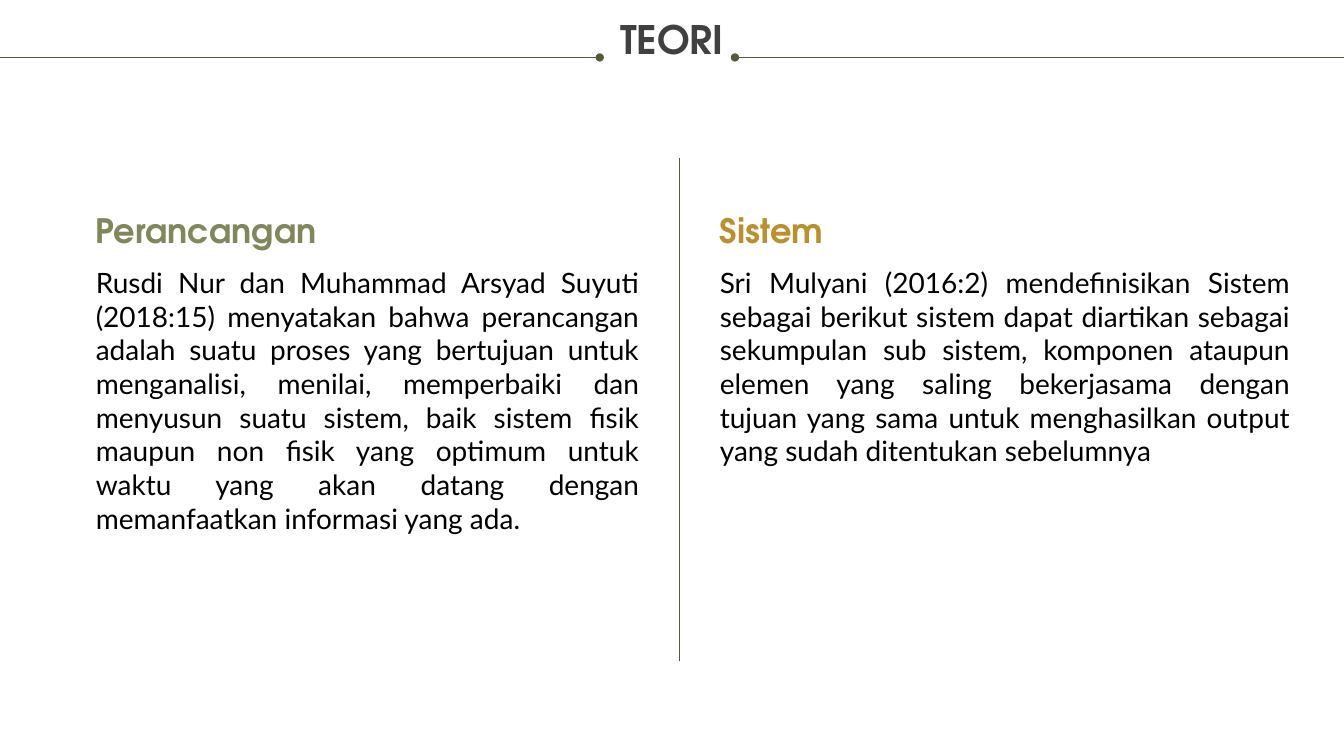
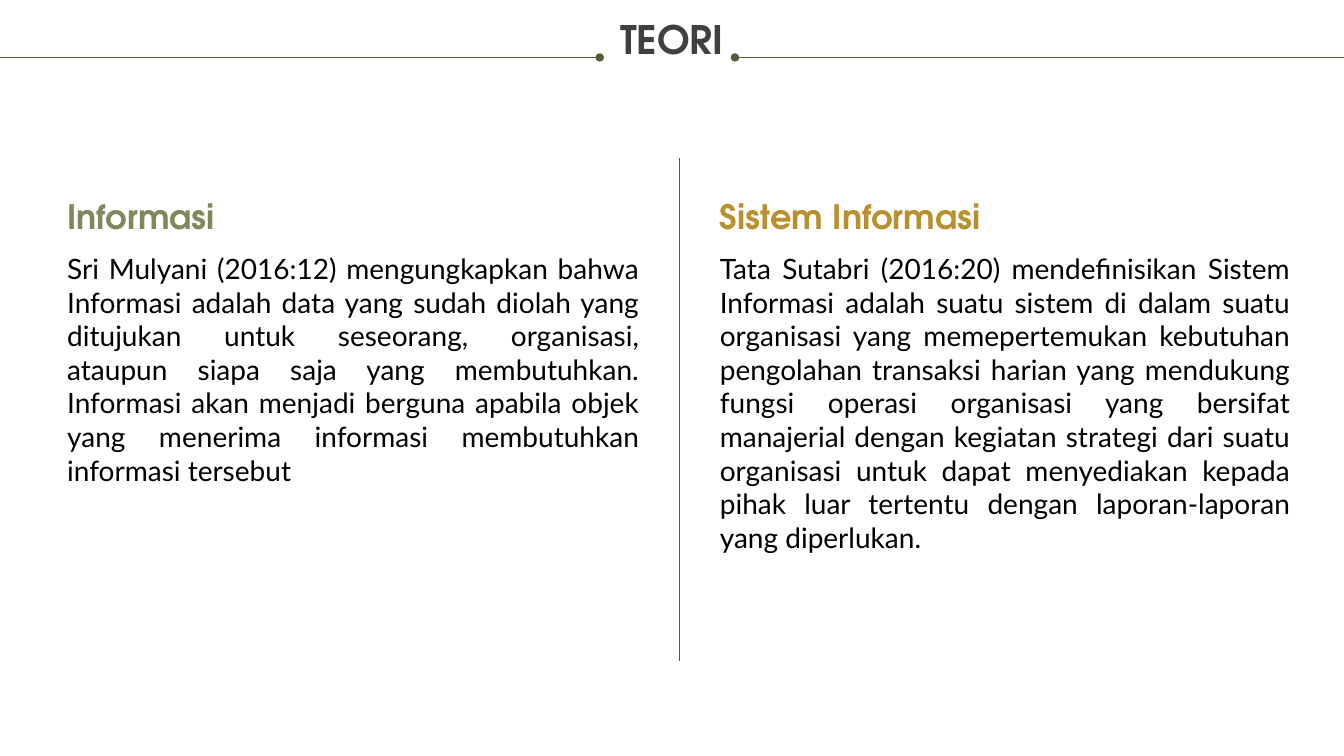
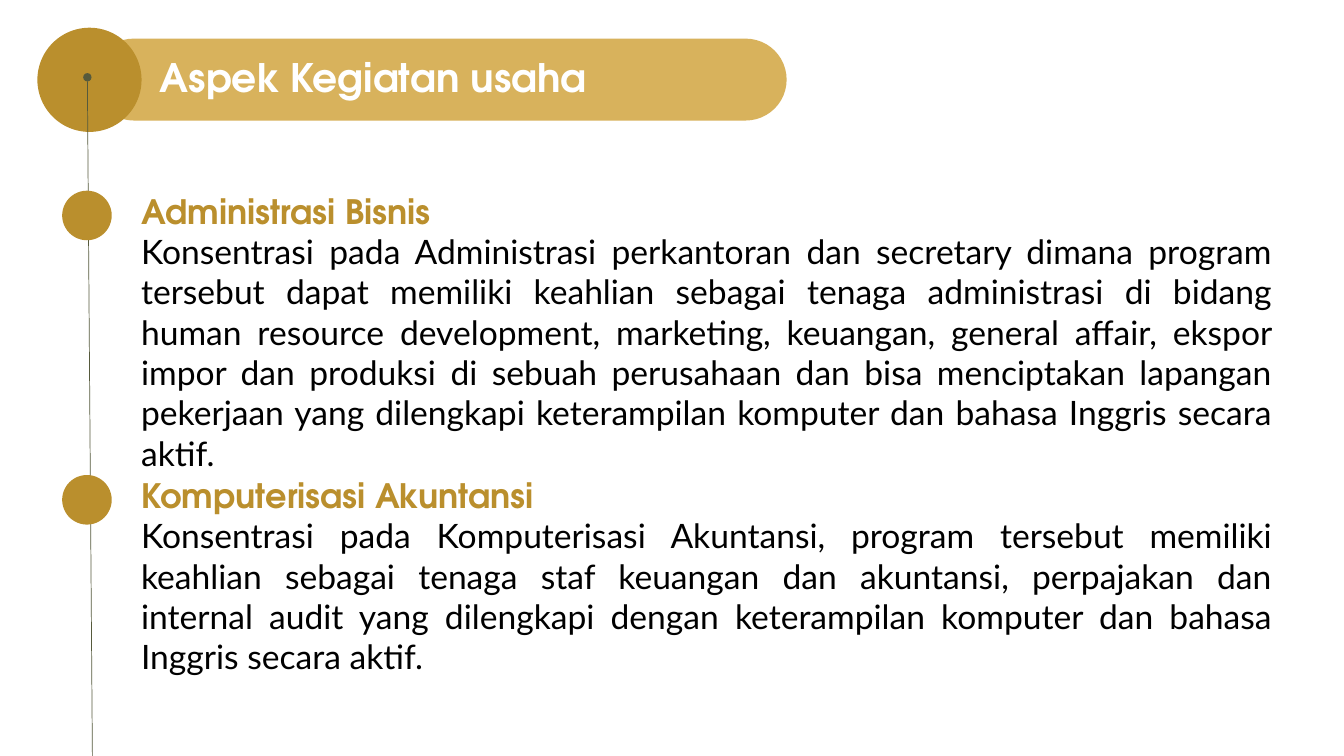
from dataclasses import dataclass

from lxml import etree
from pptx import Presentation
from pptx import util as u
from pptx.dml.color import RGBColor
from pptx.enum import shapes, text
from pptx.oxml.ns import qn

# The slide is a grid of square cells; every length below counts cells.
COLS, ROWS = 160, 90
CELL = u.Inches(7.5) / ROWS


@dataclass(frozen=True)
class Theme:
    olive: str = "81875A"
    gold: str = "BA8F2D"
    pale_gold: str = "D8B25C"
    rule: str = "565A3C"
    title: str = "404040"
    ink: str = "000000"
    white: str = "FFFFFF"
    display_font: str = "TeX Gyre Adventor"
    body_font: str = "Lato"
    title_size: int = 28
    head_size: int = 24
    body_size: int = 20
    rule_width: float = 0.5


@dataclass(frozen=True)
class Box:
    x: float
    y: float
    w: float
    h: float

    def inner(self, dx, dy, w, h):
        return Box(self.x + dx, self.y + dy, w, h)

    def emu(self):
        return [cells(v) for v in (self.x, self.y, self.w, self.h)]


T = Theme()
PAGE = Box(0, 0, COLS, ROWS)


def cells(n):
    return u.Emu(round(n * CELL))


# Text styles: font values and paragraph values
def style(size, name, color, bold=False, **paragraph):
    return {"font": {"size": u.Pt(size), "name": name, "bold": bold},
            "color": color, "paragraph": paragraph}


def title_style(color, **paragraph):
    return style(T.title_size, T.display_font, color, True, line_spacing=0.9, **paragraph)


def head_style(color, **paragraph):
    return style(T.head_size, T.display_font, color, True, **paragraph)


def body_style(size):
    return style(size, T.body_font, T.ink, alignment=text.PP_ALIGN.JUSTIFY)


# Drawing helpers
def add_text(s, box, *paragraphs):
    tf = s.shapes.add_textbox(*box.emu()).text_frame
    frame = {"word_wrap": True, "auto_size": text.MSO_AUTO_SIZE.SHAPE_TO_FIT_TEXT,
             "margin_left": 0, "margin_top": 0, "margin_right": 0, "margin_bottom": 0}
    for key, value in frame.items():
        setattr(tf, key, value)
    for i, (words, look) in enumerate(paragraphs):
        p = tf.add_paragraph() if i else tf.paragraphs[0]
        for key, value in look["paragraph"].items():
            setattr(p, key, value)
        r = p.add_run()
        r.text = words
        for key, value in look["font"].items():
            setattr(r.font, key, value)
        r.font.color.rgb = RGBColor.from_string(look["color"])


def add_shape(s, kind, box, color):
    sp = s.shapes.add_shape(kind, *box.emu())
    sp.shadow.inherit = False
    sp.fill.solid()
    sp.fill.fore_color.rgb = RGBColor.from_string(color)
    sp.line.fill.background()
    return sp


def add_line(s, x1, y1, x2, y2, dot_at_end=False):
    line = s.shapes.add_connector(shapes.MSO_CONNECTOR.STRAIGHT,
                                  *map(cells, (x1, y1, x2, y2)))
    line.line.color.rgb = RGBColor.from_string(T.rule)
    line.line.width = u.Pt(T.rule_width)
    props = line.element.spPr
    if dot_at_end:
        etree.SubElement(props.find(qn("a:ln")), qn("a:tailEnd"), type="oval")
    etree.SubElement(props, qn("a:effectLst"))


# Theory slides: title between two dotted rules, two columns below
def theory_header(s, box):
    rule_y = box.y + 6.84
    add_line(s, box.x, rule_y, box.x + 71.4, rule_y, dot_at_end=True)
    add_line(s, box.x + box.w, rule_y, box.x + 87.5, rule_y, dot_at_end=True)
    add_text(s, box.inner(3, 2.5, box.w - 6, 5),
             ("TEORI", title_style(T.title, alignment=text.PP_ALIGN.CENTER)))


def theory_column(s, box, color, heading, body):
    add_text(s, box.inner(0, 0, box.w, 3.2),
             (heading, head_style(color, line_spacing=u.Pt(19))))
    add_text(s, box.inner(0, 5, box.w, box.h - 5), (body, body_style(T.body_size)))


def theory_slide(s, left, top, entries):
    divider, gutter, right, height = 80.9, 4.8, 153.6, 42
    theory_header(s, PAGE)
    add_line(s, divider, 18.84, divider, 78.7)
    edges = [(left, divider - gutter), (divider + gutter, right)]
    for (start, end), color, entry in zip(edges, (T.olive, T.gold), entries):
        theory_column(s, Box(start, top, end - start, height), color, *entry)


# Timeline slide: banner, then topics hung on a slanted line
def banner(s, box, words):
    pill = add_shape(s, shapes.MSO_SHAPE.ROUNDED_RECTANGLE,
                     box.inner(6.6, 1.3, box.w - 6.6, 9.75), T.pale_gold)
    pill.adjustments[0] = 0.5
    add_shape(s, shapes.MSO_SHAPE.OVAL, box.inner(0, 0, box.h, box.h), T.gold)
    add_text(s, box.inner(14.6, 3.7, 62.4, 5), (words, title_style(T.white)))


def topic(s, box, heading, body):
    dot, indent = 5.9, 9.4
    add_shape(s, shapes.MSO_SHAPE.OVAL, box.inner(0, 0, dot, dot), T.gold)
    add_text(s, box.inner(indent, 0, box.w - indent, box.h),
             (heading, head_style(T.gold)), (body, body_style(T.head_size)))


def timeline_slide(s, heading, topics):
    banner(s, Box(4.45, 3.3, 89.2, 12.4), heading)
    add_line(s, 11, ROWS, 10.4, 9.2, dot_at_end=True)
    for i, entry in enumerate(topics):
        topic(s, Box(7.4, 22.7 + 33.85 * i, 144, 33.85), *entry)


DESIGN = (
    ("Perancangan",
     "Rusdi Nur dan Muhammad Arsyad Suyuti (2018:15) menyatakan bahwa perancangan "
     "adalah suatu proses yang bertujuan untuk menganalisi, menilai, memperbaiki dan "
     "menyusun suatu sistem, baik sistem fisik maupun non fisik yang optimum untuk "
     "waktu yang akan datang dengan memanfaatkan informasi yang ada."),
    ("Sistem",
     "Sri Mulyani (2016:2) mendefinisikan Sistem sebagai berikut sistem dapat "
     "diartikan sebagai sekumpulan sub sistem, komponen ataupun elemen yang saling "
     "bekerjasama dengan tujuan yang sama untuk menghasilkan output yang sudah "
     "ditentukan sebelumnya"),
)
INFORMATION = (
    ("Informasi",
     "Sri Mulyani (2016:12) mengungkapkan bahwa Informasi adalah data yang sudah "
     "diolah yang ditujukan untuk seseorang, organisasi, ataupun siapa saja yang "
     "membutuhkan. Informasi akan menjadi berguna apabila objek yang menerima "
     "informasi membutuhkan informasi tersebut"),
    ("Sistem Informasi",
     "Tata Sutabri (2016:20) mendefinisikan Sistem Informasi adalah suatu sistem di "
     "dalam suatu organisasi yang memepertemukan kebutuhan pengolahan transaksi "
     "harian yang mendukung fungsi operasi organisasi yang bersifat manajerial dengan "
     "kegiatan strategi dari suatu organisasi untuk dapat menyediakan kepada pihak "
     "luar tertentu dengan laporan-laporan yang diperlukan."),
)
PROGRAMMES = (
    ("Administrasi Bisnis",
     "Konsentrasi pada Administrasi perkantoran dan secretary dimana program tersebut "
     "dapat memiliki keahlian sebagai tenaga administrasi di bidang human resource "
     "development, marketing, keuangan, general affair, ekspor impor dan produksi di "
     "sebuah perusahaan dan bisa menciptakan lapangan pekerjaan yang dilengkapi "
     "keterampilan komputer dan bahasa Inggris secara aktif."),
    ("Komputerisasi Akuntansi",
     "Konsentrasi pada Komputerisasi Akuntansi, program tersebut memiliki keahlian "
     "sebagai tenaga staf keuangan dan akuntansi, perpajakan dan internal audit yang "
     "dilengkapi dengan keterampilan komputer dan bahasa Inggris secara aktif."),
)


def main():
    prs = Presentation()
    prs.slide_width, prs.slide_height = cells(COLS), cells(ROWS)
    blank = prs.slide_layouts[6]
    theory_slide(prs.slides.add_slide(blank), 11.4, 26.64, DESIGN)
    theory_slide(prs.slides.add_slide(blank), 8, 24.95, INFORMATION)
    timeline_slide(prs.slides.add_slide(blank), "Aspek Kegiatan usaha", PROGRAMMES)
    prs.save("out.pptx")


if __name__ == "__main__":
    main()
